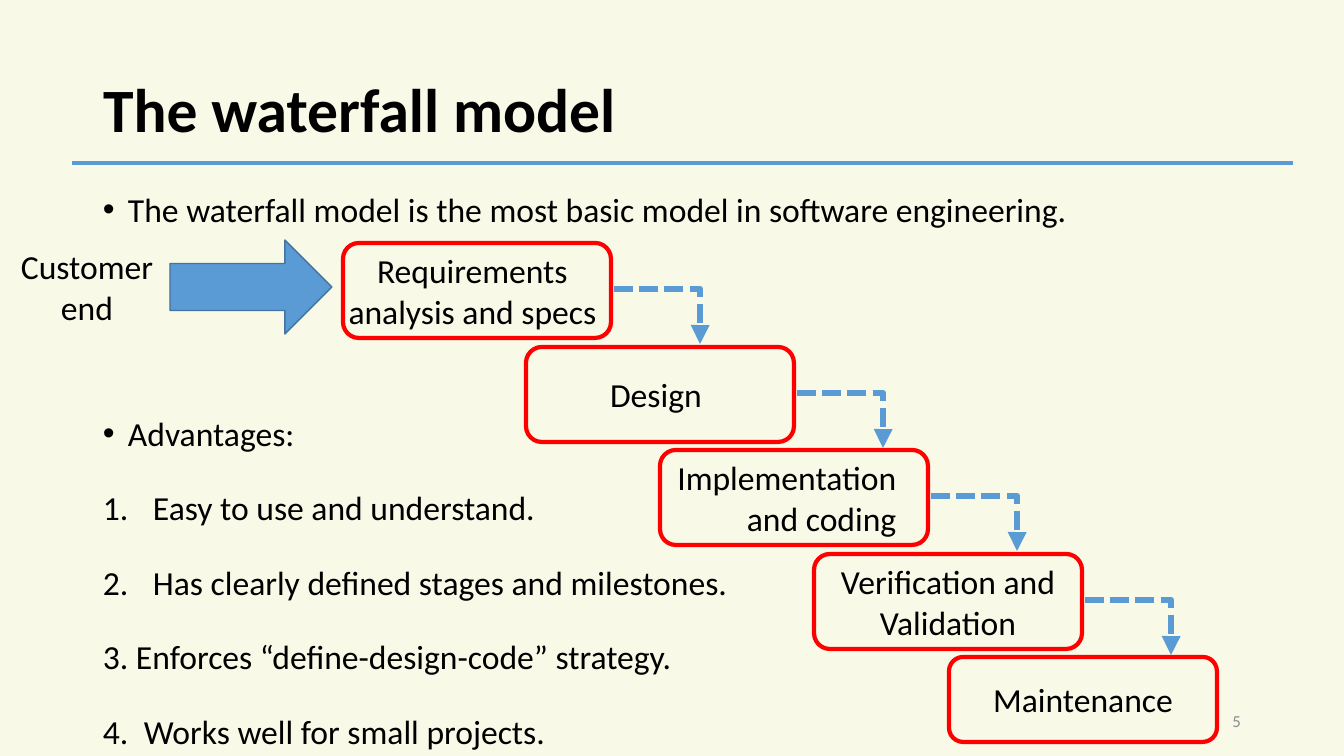
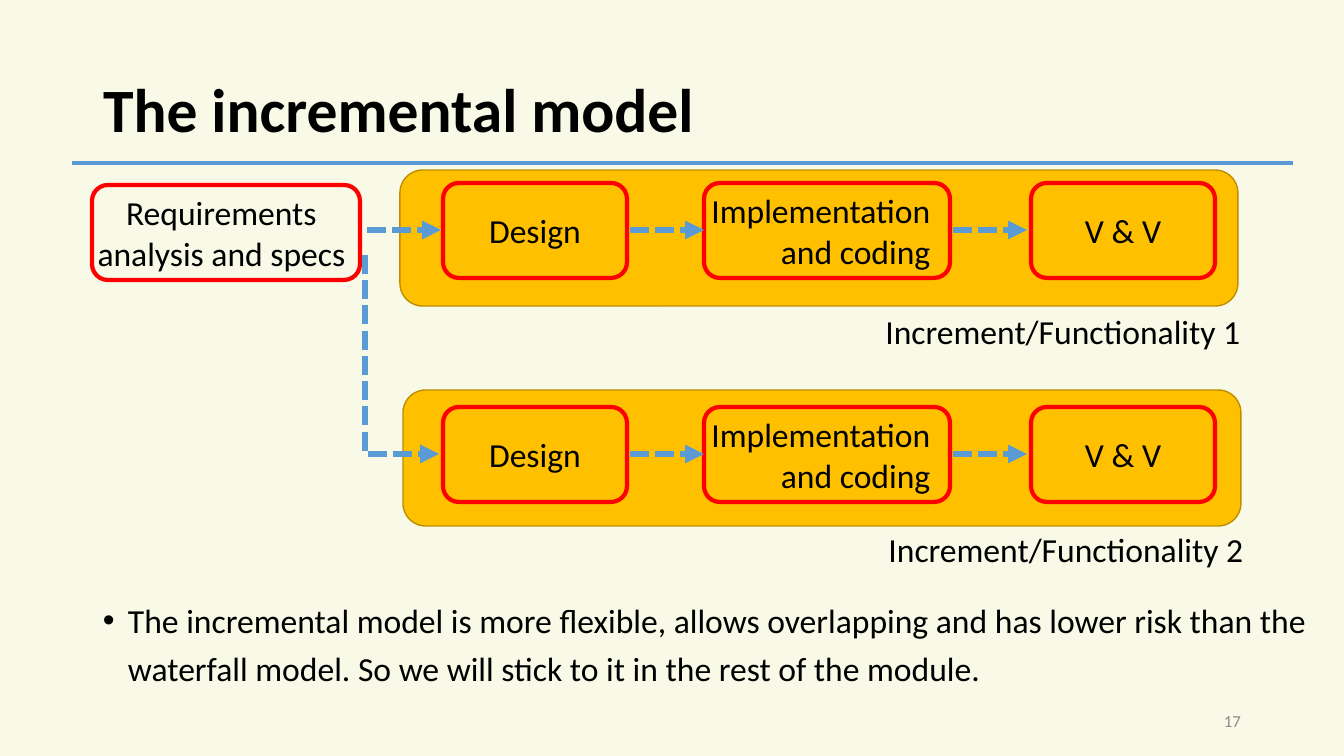
from dataclasses import dataclass

from lxml import etree
from pptx import Presentation
from pptx import util as u
from pptx.dml.color import RGBColor
from pptx.enum import dml, shapes, text
from pptx.oxml.ns import qn


@dataclass(frozen=True)
class Theme:
    paper: str = "F8F9E7"
    ink: str = "000000"
    muted: str = "8C8C8C"
    blue: str = "5B9BD5"
    blue_edge: str = "43739E"
    red: str = "FF0000"
    gold: str = "FFC000"
    gold_edge: str = "BD8E00"
    font: str = "Calibri"
    title: int = 44
    body: int = 24
    small: int = 12


T = Theme()
PX = 914400 / 100.8
rgb = RGBColor.from_string
A = text.PP_ALIGN
ROUND = shapes.MSO_SHAPE.ROUNDED_RECTANGLE
RIGHT_ARROW = shapes.MSO_SHAPE.RIGHT_ARROW
STRAIGHT = shapes.MSO_CONNECTOR.STRAIGHT
ELBOW = shapes.MSO_CONNECTOR.ELBOW


def box(s, rect, words="", kind=None, fill=None, edge=None, weight=3,
        align=A.CENTER, size=T.body, color=T.ink, anchor=text.MSO_ANCHOR.MIDDLE,
        inset=(0, 0)):
    x, y, w, h = [u.Emu(round(n * PX)) for n in rect]
    if kind is None:
        sp = s.shapes.add_textbox(x, y, w, h)
    else:
        sp = s.shapes.add_shape(kind, x, y, w, h)
        sp.shadow.inherit = False
        if fill:
            sp.fill.solid()
            sp.fill.fore_color.rgb = rgb(fill)
        else:
            sp.fill.background()
        sp.line.color.rgb = rgb(edge)
        sp.line.width = u.Pt(weight)
    tf = sp.text_frame
    tf.word_wrap = True
    tf.vertical_anchor = anchor
    tf.margin_left, tf.margin_right = [u.Emu(round(n * PX)) for n in inset]
    tf.text = words
    for p in tf.paragraphs:
        p.alignment = align
        for r in p.runs:
            r.font.name = T.font
            r.font.size = u.Pt(size)
            r.font.color.rgb = rgb(color)
    return sp


def line(s, x1, y1, x2, y2, kind=STRAIGHT, bend=None, weight=4.5, arrow=True):
    c = s.shapes.add_connector(kind, *[u.Emu(round(n * PX)) for n in (x1, y1, x2, y2)])
    c.line.color.rgb = rgb(T.blue)
    c.line.width = u.Pt(weight)
    sppr = c._element.spPr
    if arrow:
        c.line.dash_style = dml.MSO_LINE.SQUARE_DOT
        etree.SubElement(sppr.find(qn("a:ln")), qn("a:tailEnd"), type="triangle")
    if bend is not None:
        geom = sppr.find(qn("a:prstGeom"))
        av = geom.find(qn("a:avLst"))
        if av is None:
            av = etree.SubElement(geom, qn("a:avLst"))
        etree.SubElement(av, qn("a:gd"), name="adj1", fmla=f"val {bend}")
    etree.SubElement(sppr, qn("a:effectLst"))


prs = Presentation()
prs.slide_width = u.Emu(round(1344 * PX))
prs.slide_height = u.Emu(round(756 * PX))
prs.slide_master.background.fill.solid()
prs.slide_master.background.fill.fore_color.rgb = rgb(T.paper)

pages = [
    ("The waterfall model", "5", 164, 578, 1.5, [
        ("The waterfall model is the most basic model in software engineering.", None, 25, 0),
        ("Advantages:", None, 25, 116.6),
        ("Easy to use and understand.", 1, 50, 10),
        ("Has clearly defined stages and milestones.", 2, 50, 10),
        ("Enforces “define-design-code” strategy.", 3, 33, 10),
        ("Works well for small projects.", 4, 41, 10),
    ]),
    ("The incremental model", "17", 587, 110, 1.2, [
        ("The incremental model is more flexible, allows overlapping and has lower risk "
         "than the waterfall model. So we will stick to it in the rest of the module.",
         None, 25, 0),
    ]),
]

for title, number, top, height, spacing, items in pages:
    s = prs.slides.add_slide(prs.slide_layouts[5])
    sp = s.shapes.title
    sp.left, sp.top, sp.width, sp.height = [
        u.Emu(round(n * PX)) for n in (93, 40, 1159, 146)]
    tf = sp.text_frame
    tf.text = title
    tf.auto_size = text.MSO_AUTO_SIZE.NONE
    tf.vertical_anchor = text.MSO_ANCHOR.MIDDLE
    p = tf.paragraphs[0]
    p.alignment = A.LEFT
    p.line_spacing = 0.9
    r = p.runs[0]
    r.font.name = T.font
    r.font.size = u.Pt(T.title)
    r.font.bold = True
    r.font.color.rgb = rgb(T.ink)

    sp = box(s, (93, top, 1230, height), "\n".join(item[0] for item in items),
             align=A.LEFT, anchor=text.MSO_ANCHOR.TOP, inset=(10, 10))
    for p, (words, n, indent, before) in zip(sp.text_frame.paragraphs, items):
        ppr = p._p.get_or_add_pPr()
        ppr.set("marL", str(round(indent * PX)))
        ppr.set("indent", str(round(-indent * PX)))
        if n is None:
            etree.SubElement(ppr, qn("a:buFont"), typeface="Arial")
            etree.SubElement(ppr, qn("a:buChar"), char="•")
        else:
            etree.SubElement(ppr, qn("a:buAutoNum"), type="arabicPeriod", startAt=str(n))
        p.line_spacing = spacing
        p.space_before = u.Pt(before)

    box(s, (949, 701, 302, 40), number, align=A.RIGHT, size=T.small,
        color=T.muted, inset=(10, 10))
    line(s, 72, 163, 1293, 163, weight=3, arrow=False)

waterfall, incremental = prs.slides

stages = [
    ("Requirements\vanalysis and specs", 343, 243, 95, A.CENTER, 9),
    ("Design", 526, 347, 95, A.CENTER, 8),
    ("Implementation\vand coding", 660, 450, 95, A.RIGHT, 27),
    ("Verification and\vValidation", 814, 554, 95, A.CENTER, 0),
    ("Maintenance", 949, 657, 85, A.CENTER, 0),
]
for words, x, y, h, align, right in stages:
    box(waterfall, (x, y, 268, h), words, ROUND, edge=T.red, align=align, inset=(0, right))
for words, x, y, h, align, right in stages[:-1]:
    line(waterfall, x + 271, y + 46, x + 357, y + 101, ELBOW, 100200)
box(waterfall, (0, 241, 174, 91), "Customer\nend")
box(waterfall, (170, 240, 162, 94), kind=RIGHT_ARROW, fill=T.blue, edge=T.blue_edge, weight=1)

box(incremental, (92, 185, 268, 95), "Requirements\vanalysis and specs", ROUND,
    edge=T.red, inset=(0, 9))
steps = [
    ("Design", 443, 184, A.CENTER, 0),
    ("Implementation\vand coding", 704, 246, A.RIGHT, 15),
    ("V & V", 1031, 184, A.CENTER, 0),
]
increments = [(400, 170, 183, 306), (403, 390, 407, 524)]
for n, (band_x, band_y, y, label_y) in enumerate(increments, 1):
    box(incremental, (band_x, band_y, 838, 136), kind=ROUND, fill=T.gold,
        edge=T.gold_edge, weight=1)
    for words, x, w, align, right in steps:
        box(incremental, (x, y, w, 95), words, ROUND, edge=T.red, align=align,
            inset=(0, right))
    for words, x, w, align, right in steps[:-1]:
        line(incremental, x + w + 3, y + 47, x + w + 77, y + 47)
    box(incremental, (band_x + 457, label_y, 412, 50), f"Increment/Functionality {n}")
line(incremental, 367, 230, 441, 230)
line(incremental, 365, 255, 439, 454, ELBOW, 0)

prs.save("out.pptx")
